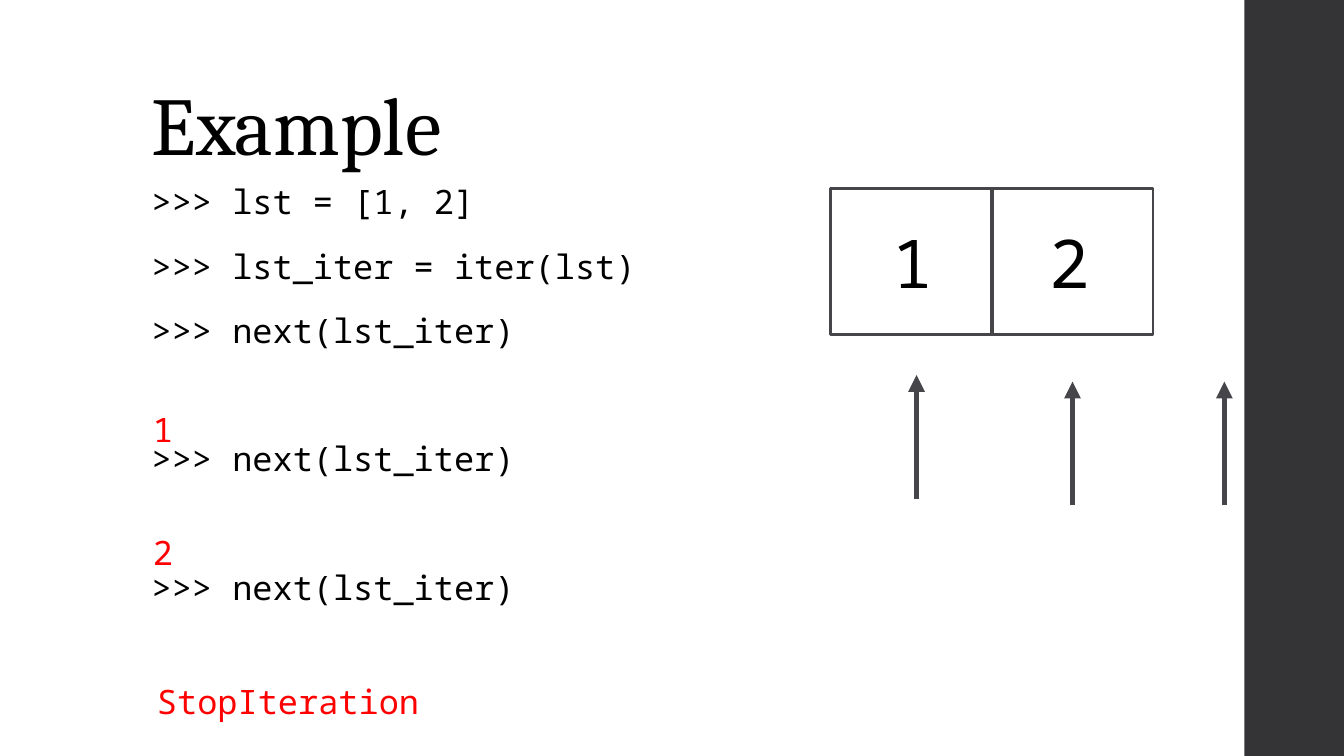
from lxml import etree
from pptx import Presentation
from pptx.dml.color import RGBColor
from pptx.enum import shapes, text
from pptx.oxml import ns
from pptx.util import Inches, Pt

BLACK = RGBColor(0x00, 0x00, 0x00)
RED = RGBColor(0xFF, 0x00, 0x00)
SLATE = RGBColor(0x46, 0x46, 0x4A)
CHARCOAL = RGBColor(0x34, 0x34, 0x37)
HEADING, MONO = "Cambria", "Noto Sans Mono"

# Widescreen slide, 16:9
SLIDE_WIDTH = 10
SLIDE_HEIGHT = SLIDE_WIDTH * 9 / 16

# Each call to type, with the space before it; wide gaps leave room for output
GAP, OUTPUT_GAP = 14, 48.2
CODE = [
    (">>> lst = [1, 2]", GAP),
    (">>> lst_iter = iter(lst)", GAP),
    (">>> next(lst_iter)", GAP),
    (">>> next(lst_iter)", OUTPUT_GAP),
    (">>> next(lst_iter)", OUTPUT_GAP),
]
# Output, left, top and width within the console
OUTPUTS = [("1", 0.01, 1.67, 1.9), ("2", 0.01, 2.59, 1.9),
           ("StopIteration", 0.04, 3.7, 2.5)]


def write(frame, lines, font=MONO, size=18, color=BLACK, spacing=None,
          anchor=text.MSO_ANCHOR.TOP):
    """Fill a text frame with (line, space before) pairs."""
    frame.word_wrap = True
    frame.auto_size = text.MSO_AUTO_SIZE.NONE
    frame.vertical_anchor = anchor
    frame.margin_left = frame.margin_right = Inches(0.1)
    frame.margin_top = frame.margin_bottom = Inches(0.1)
    for i, (line, before) in enumerate(lines):
        paragraph = frame.add_paragraph() if i else frame.paragraphs[0]
        paragraph.alignment = text.PP_ALIGN.LEFT
        paragraph.space_before = Pt(before)
        if spacing:
            paragraph.line_spacing = spacing
        run = paragraph.add_run()
        run.text = line
        run.font.name, run.font.size = font, Pt(size)
        run.font.color.rgb = color


def add_text(slide, lines, left, top, width, height, **style):
    box = slide.shapes.add_textbox(*map(Inches, (left, top, width, height)))
    write(box.text_frame, lines, **style)


def add_line(slide, x1, y1, x2, y2, weight, arrow=False):
    line = slide.shapes.add_connector(
        shapes.MSO_CONNECTOR.STRAIGHT, *map(Inches, (x1, y1, x2, y2)))
    line.line.color.rgb = SLATE
    line.line.width = Pt(weight)
    properties = line._element.spPr
    if arrow:
        etree.SubElement(properties.find(ns.qn("a:ln")), ns.qn("a:tailEnd"),
                         type="triangle")
    etree.SubElement(properties, ns.qn("a:effectLst"))
    return line


def add_rectangle(slide, left, top, width, height):
    rectangle = slide.shapes.add_shape(
        shapes.MSO_SHAPE.RECTANGLE, *map(Inches, (left, top, width, height)))
    rectangle.shadow.inherit = False
    return rectangle


def add_sidebar(slide, left, top, width, height):
    sidebar = add_rectangle(slide, left, top, width, height)
    sidebar.fill.solid()
    sidebar.fill.fore_color.rgb = CHARCOAL
    sidebar.line.fill.background()


def place_title(slide, left, top, width, height):
    title = slide.shapes.title
    title.left, title.top = Inches(left), Inches(top)
    title.width, title.height = Inches(width), Inches(height)
    write(title.text_frame, [("Example", 0)], font=HEADING, size=44,
          spacing=0.9, anchor=text.MSO_ANCHOR.BOTTOM)


def add_console(slide, left, top, width, height):
    add_text(slide, CODE, left, top, width, height, spacing=0.95)
    for output, dx, dy, output_width in OUTPUTS:
        add_text(slide, [(output, 0)], left + dx, top + dy, output_width, 0.47,
                 color=RED)


def add_list_diagram(slide, left, top, width, height):
    # Two cells
    cells = add_rectangle(slide, left, top, width, height)
    cells.fill.background()
    cells.line.color.rgb = SLATE
    cells.line.width = Pt(1.5)
    middle = left + width / 2
    divider = add_line(slide, middle, top, middle, top + height, 2.25)
    divider.begin_connect(cells, 0)
    divider.end_connect(cells, 2)
    for value, dx in (("1", 0.36), ("2", 1.53)):
        add_text(slide, [(value, 0)], left + dx, top + 0.15, 0.79, 0.8, size=36)

    # Iterator positions, the last one past the end
    for dx, dy in ((0.64, 0.3), (1.8, 0.35), (2.93, 0.35)):
        x, tip = left + dx, top + height + dy
        add_line(slide, x, tip + 0.92, x, tip, 3, arrow=True)


def main():
    deck = Presentation()
    deck.slide_width = Inches(SLIDE_WIDTH)
    deck.slide_height = Inches(SLIDE_HEIGHT)
    slide = deck.slides.add_slide(deck.slide_layouts.get_by_name("Title Only"))
    add_sidebar(slide, 9.26, 0, SLIDE_WIDTH - 9.26, SLIDE_HEIGHT)
    place_title(slide, 1.03, 0.3, 7.95, 1.09)
    add_console(slide, 1.03, 1.27, 4.22, 3.57)
    add_list_diagram(slide, 6.18, 1.4, 2.4, 1.09)
    deck.save("out.pptx")


if __name__ == "__main__":
    main()
